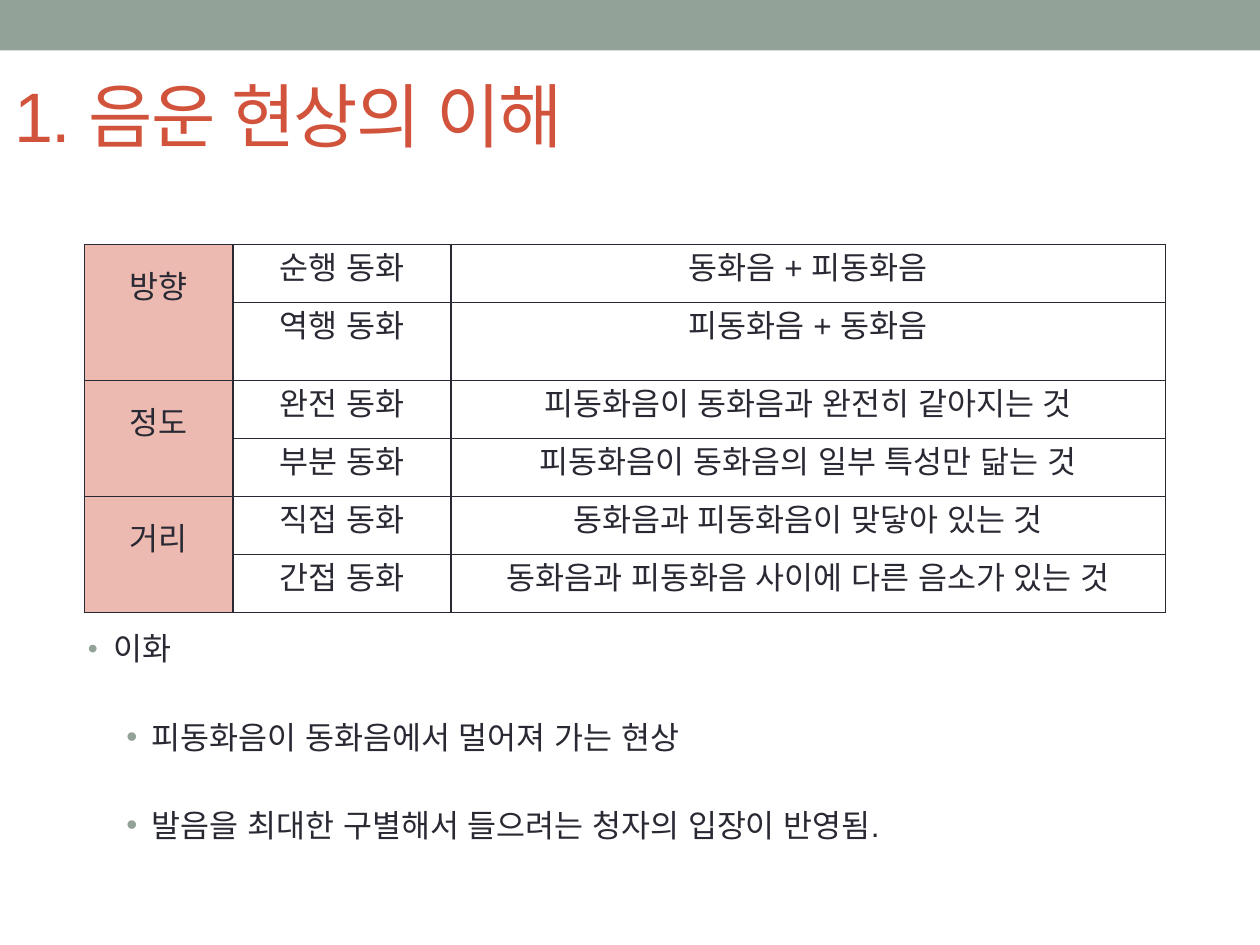
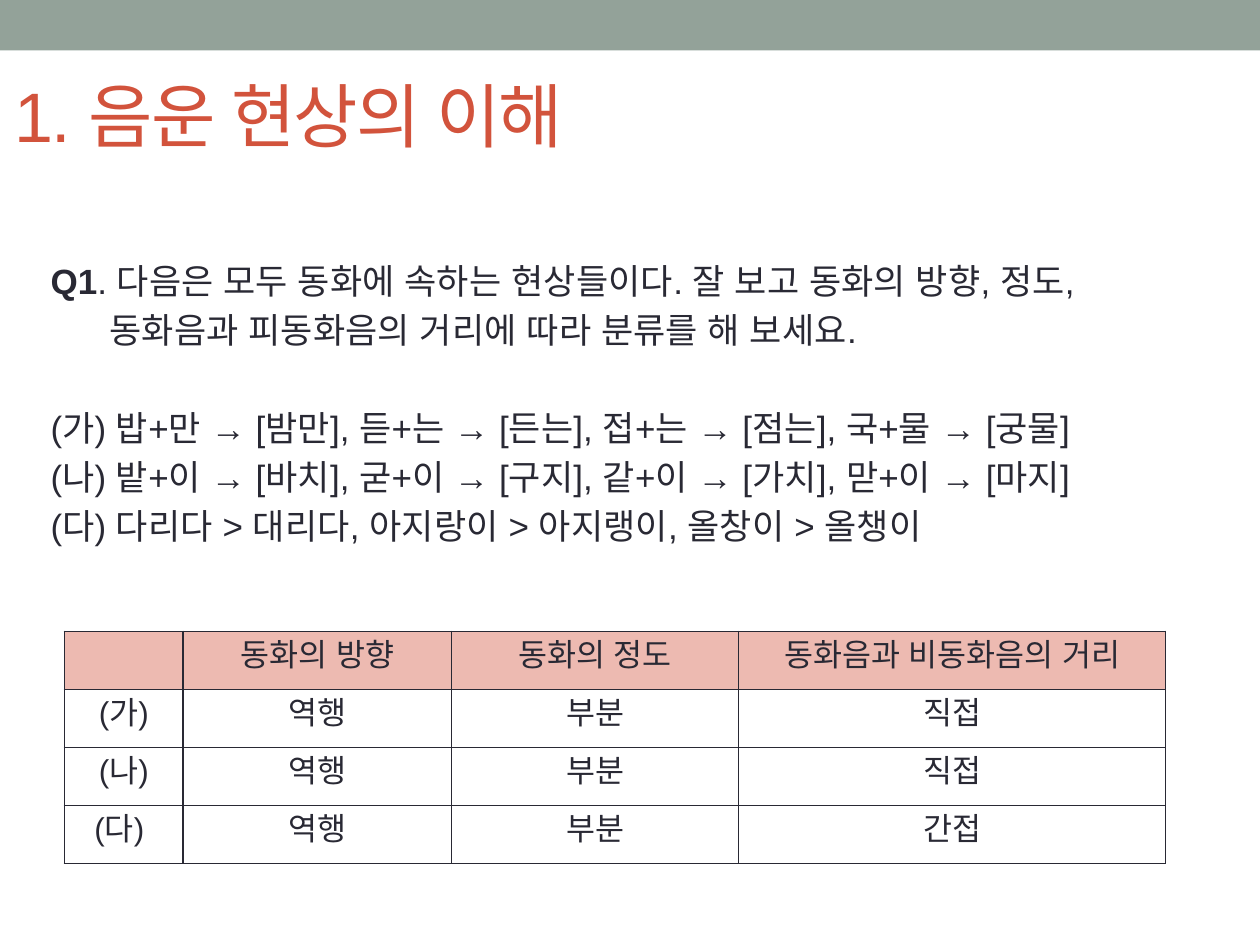
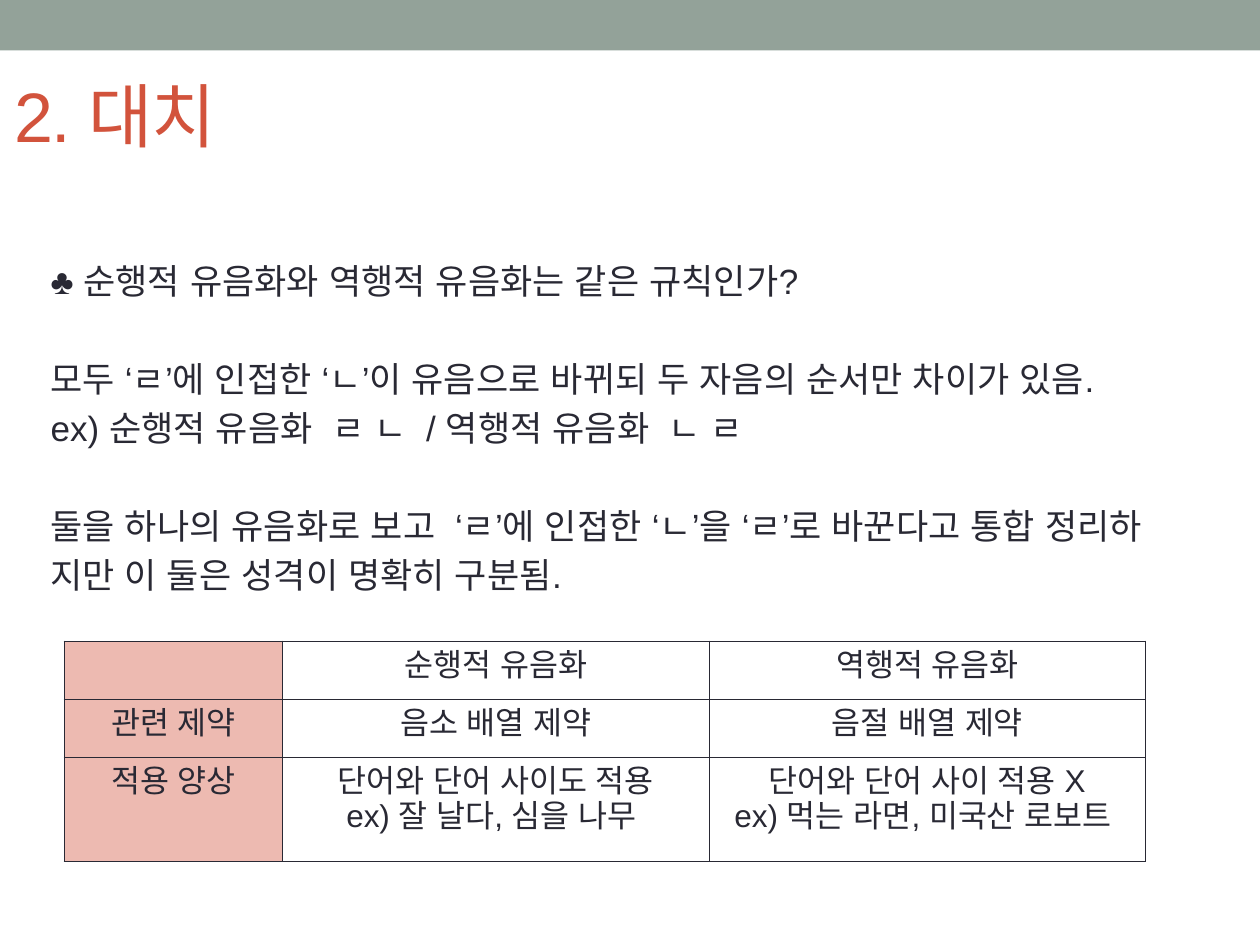
from dataclasses import dataclass

from lxml import etree
from pptx import Presentation
from pptx import util as u
from pptx.dml.color import RGBColor
from pptx.enum import lang, shapes, text
from pptx.oxml import ns


@dataclass(frozen=True)
class Theme:
    """Colours, type sizes and line heights shared by the slides."""

    font: str = "Arial"
    ink: str = "292934"
    accent: str = "D2533C"
    band: str = "93A299"
    tint: str = "EDBAB1"
    title: int = 40
    body: int = 20
    small: int = 18
    leading: float = 1.2
    spacing: float = 0.2


@dataclass(frozen=True)
class Line:
    """One body paragraph; left and hang are in centimetres."""

    text: str
    lead: str = ""
    left: float = 0.77
    hang: float = 0
    bullet_size: int = 0
    skip: bool = False


THEME = Theme()
BODY_BOX = (0, 4.11, 25.4, 14.61)
ROW = 1.17


def add_child(parent, tag, **attrs):
    """Append a DrawingML element and return it."""
    return etree.SubElement(parent, ns.qn(f"a:{tag}"), attrs)


def set_font(p, size, color=THEME.ink):
    """Give a paragraph the theme font for both scripts, a size and a colour."""
    p.font.name = THEME.font
    p.font.size = u.Pt(size)
    p.font.color.rgb = RGBColor.from_string(color)
    p.font.language_id = lang.MSO_LANGUAGE_ID.KOREAN
    add_child(p._p.pPr.find(ns.qn("a:defRPr")), "ea", typeface=THEME.font)


def add_text_box(slide, box):
    """Add a wrapping text box and return its text frame."""
    tf = slide.shapes.add_textbox(*map(u.Cm, box)).text_frame
    tf.word_wrap = True
    return tf


def add_band(slide, box):
    """Draw the plain band along the top edge."""
    sp = slide.shapes.add_shape(shapes.MSO_SHAPE.RECTANGLE, *map(u.Cm, box))
    sp.shadow.inherit = False
    sp.fill.solid()
    sp.fill.fore_color.rgb = RGBColor.from_string(THEME.band)
    sp.line.fill.background()


def add_title(slide, box, title):
    """Write the slide title, centred vertically in its box."""
    tf = add_text_box(slide, box)
    tf.vertical_anchor = text.MSO_ANCHOR.MIDDLE
    p = tf.paragraphs[0]
    r = p.add_run()
    r.text = title
    r._r.get_or_add_rPr().set("spc", "-100")
    set_font(p, THEME.title, THEME.accent)


def add_bullet(p, size):
    """Give a paragraph a round bullet in the band colour."""
    pPr = p._p.get_or_add_pPr()
    add_child(add_child(pPr, "buClr"), "srgbClr", val=THEME.band)
    add_child(pPr, "buSzPct", val=str(size * 1000))
    add_child(pPr, "buFont", typeface=THEME.font)
    add_child(pPr, "buChar", char="•")


def add_body(slide, box, lines, size, inset):
    """Write the body paragraphs, starting at the given inset."""
    tf = add_text_box(slide, box)
    tf.margin_top = u.Cm(inset)
    leading, spacing = size * THEME.leading, size * THEME.spacing
    for i, line in enumerate(lines):
        p = tf.add_paragraph() if i else tf.paragraphs[0]
        pPr = p._p.get_or_add_pPr()
        pPr.set("marL", str(u.Cm(line.left)))
        pPr.set("indent", str(-u.Cm(line.hang)))
        if line.bullet_size:
            add_bullet(p, line.bullet_size)
        p.line_spacing = u.Pt(leading)
        if i:
            p.space_before = u.Pt(spacing + line.skip * (leading + spacing))
        if line.lead:
            r = p.add_run()
            r.text = line.lead
            r.font.bold = True
        p.add_run().text = line.text
        set_font(p, size)


def add_borders(cell):
    """Draw a one-point line on all four sides of a cell."""
    tcPr = cell._tc.get_or_add_tcPr()
    for i, side in enumerate(("lnL", "lnR", "lnT", "lnB")):
        ln = etree.Element(ns.qn(f"a:{side}"), w=str(u.Pt(1)))
        add_child(add_child(ln, "solidFill"), "srgbClr", val=THEME.ink)
        tcPr.insert(i, ln)


def add_grid(slide, left, top, widths, heights, rows, tinted):
    """Add a bordered table; None continues the cell above it."""
    box = (left, top, sum(widths), sum(heights))
    tbl = slide.shapes.add_table(len(rows), len(widths), *map(u.Cm, box)).table
    tbl.first_row = tbl.horz_banding = False
    for column, width in zip(tbl.columns, widths):
        column.width = u.Cm(width)
    for row, height in zip(tbl.rows, heights):
        row.height = u.Cm(height)
    for y, row in enumerate(rows):
        for x, value in enumerate(row):
            cell = tbl.cell(y, x)
            if tinted(y, x):
                cell.fill.solid()
                cell.fill.fore_color.rgb = RGBColor.from_string(THEME.tint)
            else:
                cell.fill.background()
            add_borders(cell)
            if value is None:
                tbl.cell(y - 1, x).merge(cell)
                tbl.cell(y - 1, x).margin_top = u.Cm(0.51)
                continue
            cell.text = value
            for p in cell.text_frame.paragraphs:
                p.alignment = text.PP_ALIGN.CENTER
                set_font(p, THEME.small)


def add_page(prs, title):
    """Add a blank slide with the band and a title."""
    slide = prs.slides.add_slide(prs.slide_layouts[6])
    add_band(slide, (0, 0, 25.4, 1.02))
    add_title(slide, (0.04, 0.93, 22.86, 2.74), title)
    return slide


def add_assimilation(prs):
    """Build the slide of assimilation types and dissimilation."""
    slide = add_page(prs, "1. 음운 현상의 이해")
    lines = [
        Line("이화", left=2.03, hang=0.51, bullet_size=90),
        Line("피동화음이 동화음에서 멀어져 가는 현상",
             left=2.81, hang=0.51, bullet_size=100, skip=True),
        Line("발음을 최대한 구별해서 들으려는 청자의 입장이 반영됨.",
             left=2.81, hang=0.51, bullet_size=100, skip=True),
    ]
    add_body(slide, BODY_BOX, lines, THEME.small, 8.58)
    rows = [
        ("방향", "순행 동화", "동화음 + 피동화음"),
        (None, "역행 동화", "피동화음 + 동화음"),
        ("정도", "완전 동화", "피동화음이 동화음과 완전히 같아지는 것"),
        (None, "부분 동화", "피동화음이 동화음의 일부 특성만 닮는 것"),
        ("거리", "직접 동화", "동화음과 피동화음이 맞닿아 있는 것"),
        (None, "간접 동화", "동화음과 피동화음 사이에 다른 음소가 있는 것"),
    ]
    heights = [ROW, 1.57] + [ROW] * 4
    add_grid(slide, 1.7, 4.93, (3, 4.39, 14.4), heights, rows,
             lambda y, x: x == 0)


def add_question(prs):
    """Build the classification question with its answer table."""
    slide = add_page(prs, "1. 음운 현상의 이해")
    lines = [
        Line(". 다음은 모두 동화에 속하는 현상들이다. 잘 보고 동화의 방향, 정도, ",
             lead="Q1"),
        Line("동화음과 피동화음의 거리에 따라 분류를 해 보세요.", left=1.96),
        Line("(가) 밥+만 → [밤만], 듣+는 → [든는], 접+는 → [점는], 국+물 → [궁물]",
             skip=True),
        Line("(나) 밭+이 → [바치], 굳+이 → [구지], 같+이 → [가치], 맏+이 → [마지]"),
        Line("(다) 다리다 > 대리다, 아지랑이 > 아지랭이, 올창이 > 올챙이"),
    ]
    add_body(slide, BODY_BOX, lines, THEME.body, 1.12)
    rows = [
        ("", "동화의 방향", "동화의 정도", "동화음과 비동화음의 거리"),
        ("(가)", "역행", "부분", "직접"),
        ("(나)", "역행", "부분", "직접"),
        ("(다) ", "역행", "부분", "간접"),
    ]
    add_grid(slide, 1.3, 12.73, (2.39, 5.41, 5.79, 8.61), [ROW] * 4, rows,
             lambda y, x: y == 0)


def add_substitution(prs):
    """Build the comparison of the two liquid assimilation rules."""
    slide = add_page(prs, "2. 대치")
    lines = [
        Line("♣ 순행적 유음화와 역행적 유음화는 같은 규칙인가?"),
        Line("모두 ‘ㄹ’에 인접한 ‘ㄴ’이 유음으로 바뀌되 두 자음의 순서만 차이가 있음.",
             skip=True),
        Line("ex) 순행적 유음화  ㄹ ㄴ  / 역행적 유음화  ㄴ ㄹ"),
        Line("둘을 하나의 유음화로 보고  ‘ㄹ’에 인접한 ‘ㄴ’을 ‘ㄹ’로 바꾼다고 통합 정리하",
             skip=True),
        Line("지만 이 둘은 성격이 명확히 구분됨."),
    ]
    add_body(slide, BODY_BOX, lines, THEME.body, 1.12)
    rows = [
        ("", "순행적 유음화", "역행적 유음화"),
        ("관련 제약", "음소 배열 제약", "음절 배열 제약"),
        ("적용 양상", "단어와 단어 사이도 적용\nex) 잘 날다, 심을 나무 ",
         "단어와 단어 사이 적용 X\nex) 먹는 라면, 미국산 로보트 "),
    ]
    add_grid(slide, 1.3, 12.93, (4.39, 8.61, 8.79), (ROW, ROW, 2.1), rows,
             lambda y, x: x == 0)


def main():
    """Build and save the presentation."""
    prs = Presentation()
    prs.slide_width, prs.slide_height = u.Cm(25.4), u.Cm(19.05)
    for build in (add_assimilation, add_question, add_substitution):
        build(prs)
    prs.save("out.pptx")


main()
